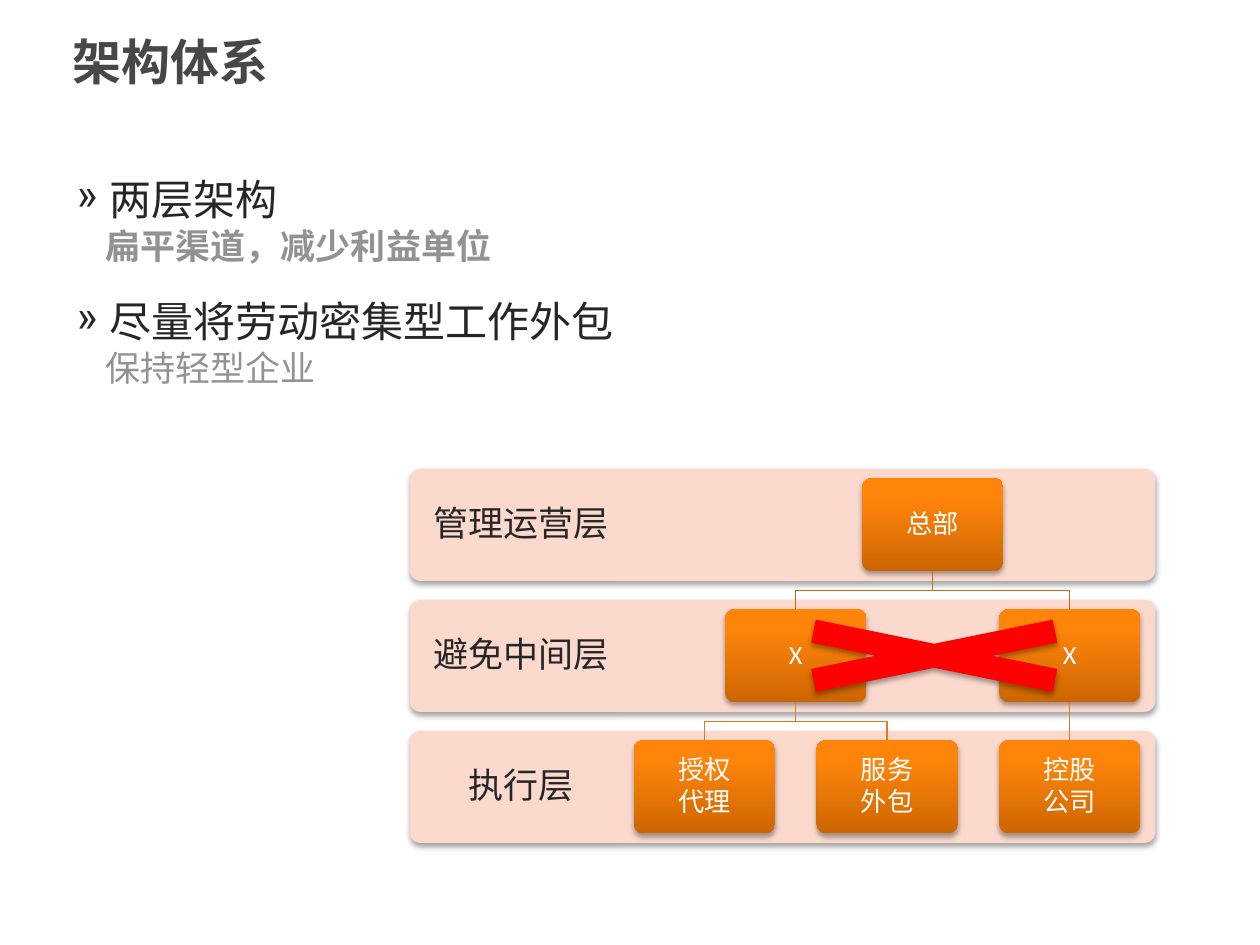
import pptx
import pptx.util
import pptx.dml.color
import pptx.enum.shapes
import pptx.enum.text
import pptx.oxml
import pptx.oxml.ns
from lxml import etree

Inches, Pt, qn = pptx.util.Inches, pptx.util.Pt, pptx.oxml.ns.qn
SHAPE = pptx.enum.shapes.MSO_SHAPE
CENTER = pptx.enum.text.PP_ALIGN.CENTER
MIDDLE = pptx.enum.text.MSO_ANCHOR.MIDDLE

POINTS = [("两层架构", "扁平渠道，减少利益单位", True),
          ("尽量将劳动密集型工作外包", "保持轻型企业", False)]
TIERS = ["管理运营层", "避免中间层", "执行层"]
TIER_H, TIER_PITCH = 0.89, 1.04
NODE_W, NODE_H, NODE_PITCH = 1.12, 0.74, 1.45
# Each node: text, tier, column, index of its parent
NODES = [("总部", 0, 1.25, None),
         ("X", 1, 0.5, 0),
         ("X", 1, 2, 0),
         ("授权\n代理", 2, 0, 1),
         ("服务\n外包", 2, 1, 1),
         ("控股\n公司", 2, 2, 2)]
LINK_COLORS = {1: "C36E18", 2: "DD7C1B"}


def rgb(color):
    return pptx.dml.color.RGBColor.from_string(color)


def style_runs(paragraph, font, size, color, bold=False):
    for run in paragraph.runs:
        run.font.name, run.font.size, run.font.bold = font, Pt(size), bold
        run.font.color.rgb = rgb(color)


def add_frame(slide, left, top, width, height):
    frame = slide.shapes.add_textbox(*map(Inches, (left, top, width, height))).text_frame
    frame.word_wrap = True
    return frame


def set_centred_text(frame, text, size, color, inset):
    frame.text = text
    frame.word_wrap, frame.vertical_anchor = True, MIDDLE
    frame.margin_left = frame.margin_right = Inches(inset)
    frame.margin_top = frame.margin_bottom = Inches(inset)
    for paragraph in frame.paragraphs:
        paragraph.alignment, paragraph.line_spacing = CENTER, 0.9
        paragraph.space_after = Pt(2)
        style_runs(paragraph, "Calibri", size, color)


def add_shadow(shape):
    shape.shadow.inherit = False
    effects = shape.element.spPr.find(qn("a:effectLst"))
    shadow = etree.SubElement(effects, qn("a:outerShdw"), blurRad=str(Pt(3.1)),
                              dist=str(Pt(1.8)), dir="5400000", rotWithShape="0")
    black = etree.SubElement(shadow, qn("a:srgbClr"), val="000000")
    etree.SubElement(black, qn("a:alpha"), val="35000")


def fill_gradient(shape, stops, angle):
    shape.fill.gradient()
    shape.fill.gradient_angle = angle
    stop_list = shape.element.spPr.find(qn("a:gradFill")).find(qn("a:gsLst"))
    for old in list(stop_list):
        stop_list.remove(old)
    for percent, color in stops:
        stop = etree.SubElement(stop_list, qn("a:gs"), pos=str(percent * 1000))
        etree.SubElement(stop, qn("a:srgbClr"), val=color)


def add_card(slide, left, top, width, height):
    card = slide.shapes.add_shape(SHAPE.ROUNDED_RECTANGLE,
                                  *map(Inches, (left, top, width, height)))
    card.adjustments[0] = 0.1
    card.line.fill.background()
    add_shadow(card)
    return card


def add_title(slide, left, top, width, height):
    frame = add_frame(slide, left, top, width, height)
    frame.vertical_anchor, frame.margin_bottom = MIDDLE, 0
    frame.text = "架构体系"
    style_runs(frame.paragraphs[0], "Lato", 28, "474747", True)


def set_indent(paragraph, margin, first_line=0.0):
    properties = paragraph._p.get_or_add_pPr()
    properties.set("marL", str(Inches(margin)))
    properties.set("indent", str(Inches(first_line)))
    return properties


def add_points(slide, left, top, width, height):
    frame = add_frame(slide, left, top, width, height)
    frame.text = "\n".join(line for point in POINTS for line in point[:2])
    for i, (_, _, bold) in enumerate(POINTS):
        heading, detail = frame.paragraphs[2 * i:2 * i + 2]
        if i:
            heading.space_before = Pt(17)
        properties = set_indent(heading, 0.26, -0.26)
        etree.SubElement(properties, qn("a:buSzPct"), val="94000")
        etree.SubElement(properties, qn("a:buChar"), char="»")
        style_runs(heading, "Lato", 24, "262626")
        set_indent(detail, 0.23)
        style_runs(detail, "Lato", 20, "929292", bold)


def add_link(slide, start, end, color):
    """Draw a right-angled line that turns halfway down."""
    (x1, y1), (x2, y2) = start, end
    if x1 == x2:
        link = slide.shapes.add_connector(pptx.enum.shapes.MSO_CONNECTOR.STRAIGHT,
                                          *map(Inches, (x1, y1, x2, y2)))
        etree.SubElement(link._element.spPr, qn("a:effectLst"))
    else:
        middle = (y1 + y2) / 2
        builder = slide.shapes.build_freeform(Inches(x1), Inches(y1))
        bends = [(x1, middle), (x2, middle), (x2, y2)]
        builder.add_line_segments([(Inches(x), Inches(y)) for x, y in bends], close=False)
        link = builder.convert_to_shape()
        link.fill.background()
        link.shadow.inherit = False
    link.line.color.rgb, link.line.width = rgb(color), Pt(0.75)


def add_hierarchy(slide, left, top, width):
    for row, label in enumerate(TIERS):
        y = top + row * TIER_PITCH
        band = add_card(slide, left, y, width, TIER_H)
        band.fill.solid()
        band.fill.fore_color.rgb = rgb("FBDACD")
        set_centred_text(add_frame(slide, left, y, 0.3 * width, TIER_H),
                         label, 20, "262626", 0.16)

    first_centre = left + 2.34
    first_top = top + (TIER_H - NODE_H) / 2
    spots = [(first_centre + column * NODE_PITCH, first_top + tier * TIER_PITCH)
             for _, tier, column, _ in NODES]
    for (text, tier, _, parent), (x, y) in zip(NODES, spots):
        if parent is not None:
            parent_x, parent_y = spots[parent]
            add_link(slide, (parent_x, parent_y + NODE_H), (x, y), LINK_COLORS[tier])
        node = add_card(slide, x - NODE_W / 2, y, NODE_W, NODE_H)
        fill_gradient(node, [(0, "CC6600"), (80, "FF850A"), (100, "FF850C")], 90)
        set_centred_text(node.text_frame, text, 15, "FFFFFF", 0.06)


def add_cross(slide, left, top, width, height):
    cross = slide.shapes.add_shape(SHAPE.MATH_MULTIPLY,
                                   *map(Inches, (left, top, width, height)))
    cross.fill.solid()
    cross.fill.fore_color.rgb = cross.line.color.rgb = rgb("FF0000")
    cross.line.width = Pt(0.75)
    add_shadow(cross)


def main():
    deck = pptx.Presentation()
    deck.slide_width, deck.slide_height = Inches(10), Inches(7.5)
    slide = deck.slides.add_slide(deck.slide_layouts[6])
    add_points(slide, 0.51, 1.33, 4.99, 2.17)
    add_title(slide, 0.48, 0.08, 9.19, 0.75)
    add_hierarchy(slide, 3.25, 3.72, 5.92)
    add_cross(slide, 5.58, 4.83, 3.67, 0.75)
    deck.save("out.pptx")


if __name__ == "__main__":
    main()
